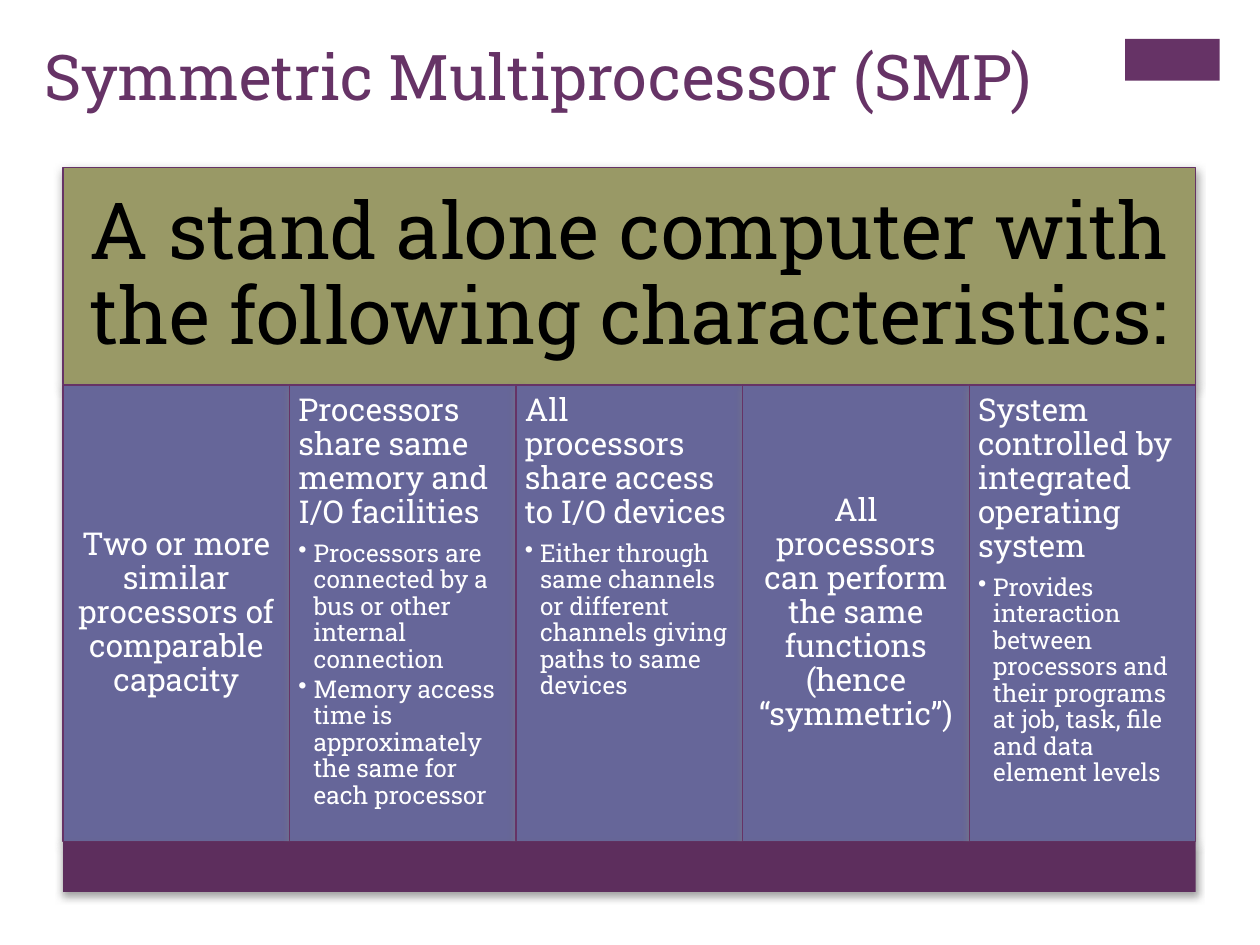
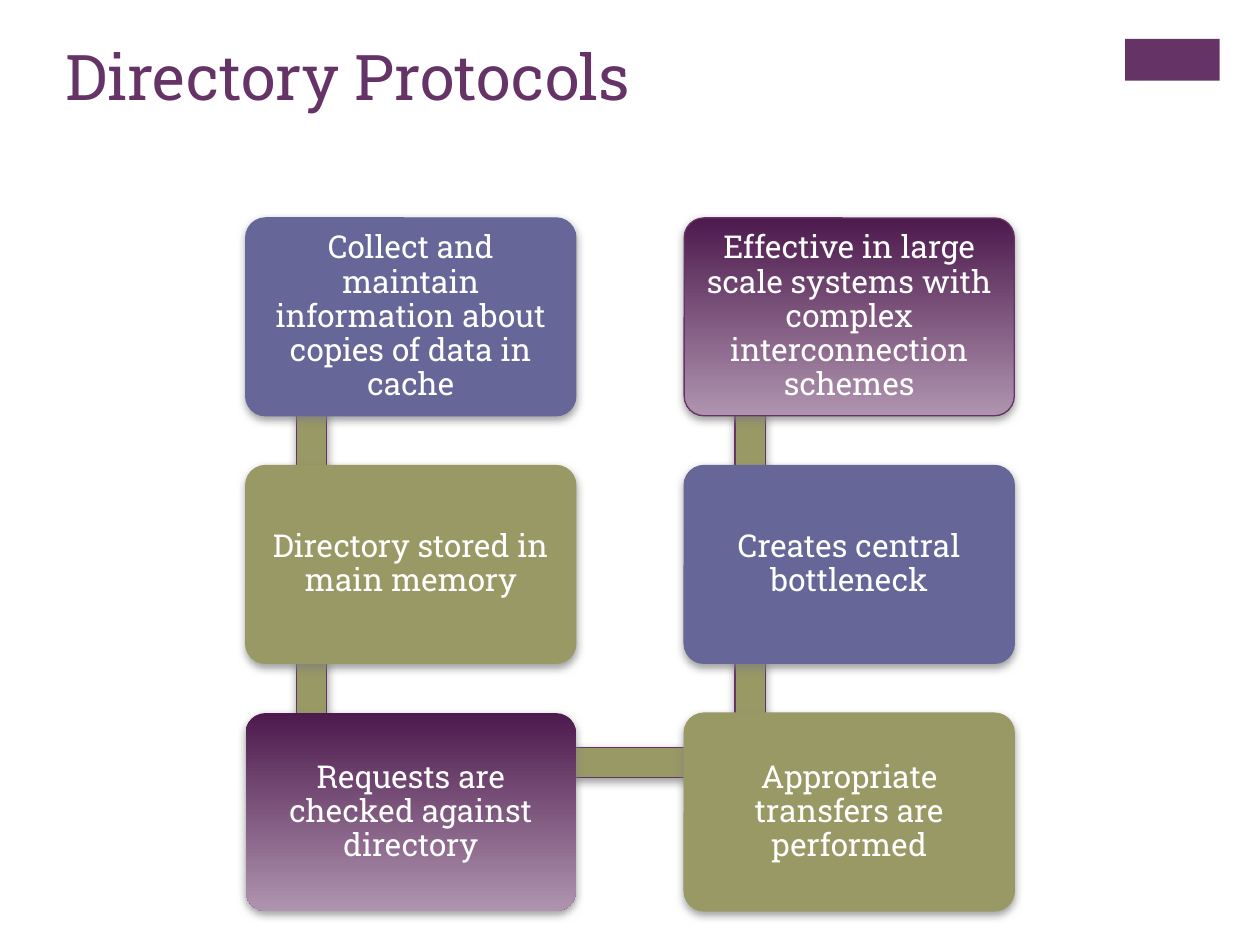
from dataclasses import dataclass

from lxml import etree
from pptx import Presentation
from pptx import util as u
from pptx.dml import color
from pptx.enum import shapes, text
from pptx.oxml import ns


@dataclass(frozen=True)
class Theme:
    """Colours, fonts and type sizes shared by the slides."""
    font: str = "Roboto Slab"
    plum: str = "663366"
    dark_plum: str = "5D2E5D"
    olive: str = "999966"
    slate: str = "666699"
    fade: tuple = ("4D1A4D", "AF94AF")
    shadow: str = "808080"
    white: str = "FFFFFF"
    black: str = "000000"
    title: float = 36
    banner: float = 45
    label: float = 18
    bullet: float = 14


@dataclass(frozen=True)
class Box:
    """A rectangle measured in inches."""
    left: float
    top: float
    width: float
    height: float

    def lengths(self):
        """Return the four measures as lengths."""
        return [u.Inches(v) for v in (self.left, self.top, self.width, self.height)]


THEME = Theme()
MARKER = Box(8.93, 0.31, 0.75, 0.33)
RECTANGLE = shapes.MSO_SHAPE.RECTANGLE
ROUNDED = shapes.MSO_SHAPE.ROUNDED_RECTANGLE

CHARACTERISTICS = [
    ("Two or more similar processors of comparable capacity", []),
    ("Processors share same memory and I/O facilities",
     ["Processors are connected by a bus or other internal connection",
      "Memory access time is approximately the same for each processor"]),
    ("All processors share access to I/O devices",
     ["Either through same channels or different channels giving paths to same devices"]),
    ("All processors can perform the same functions (hence “symmetric”)", []),
    ("System controlled by integrated operating system",
     ["Provides interaction between processors and their programs at job, task, "
      "file and data element levels"]),
]

PROTOCOL_STEPS = [
    ("Collect and maintain information about copies of data in cache",
     THEME.slate, THEME.slate),
    ("Directory stored in main memory", THEME.olive, THEME.olive),
    ("Requests are checked against directory", THEME.fade, None),
    ("Appropriate transfers are performed", THEME.olive, THEME.olive),
    ("Creates central bottleneck", THEME.slate, THEME.slate),
    ("Effective in large scale systems with complex interconnection schemes",
     THEME.fade, THEME.plum),
]


def rgb(value):
    """Turn a hex string into a colour."""
    return color.RGBColor.from_string(value)


def paint(shape, fill, line=None):
    """Give a shape a plain or vertical gradient fill and an optional outline."""
    shape.shadow.inherit = False
    if isinstance(fill, tuple):
        shape.fill.gradient()
        shape.fill.gradient_angle = 270
        for stop, value in zip(shape.fill.gradient_stops, fill):
            stop.color.rgb = rgb(value)
    else:
        shape.fill.solid()
        shape.fill.fore_color.rgb = rgb(fill)
    if line:
        shape.line.color.rgb = rgb(line)
        shape.line.width = u.Pt(0.75)
    else:
        shape.line.fill.background()


def add_shadow(shape):
    """Drop a soft grey shadow below a shape."""
    effects = shape.element.spPr.find(ns.qn("a:effectLst"))
    shadow = etree.SubElement(
        effects, ns.qn("a:outerShdw"), blurRad=str(u.Pt(5)), dist=str(u.Pt(2)),
        dir="5400000", rotWithShape="0")
    tint = etree.SubElement(shadow, ns.qn("a:srgbClr"), val=THEME.shadow)
    etree.SubElement(tint, ns.qn("a:alpha"), val="75000")


def add_panel(group, box, fill, line=None, kind=RECTANGLE):
    """Add a painted shape with a shadow."""
    shape = group.shapes.add_shape(kind, *box.lengths())
    paint(shape, fill, line)
    add_shadow(shape)
    return shape


def style_runs(paragraph, size, value):
    """Set font, size and colour of a paragraph's runs."""
    for run in paragraph.runs:
        run.font.name = THEME.font
        run.font.size = u.Pt(size)
        run.font.color.rgb = rgb(value)


def add_bullet(paragraph):
    """Give a paragraph a hanging bullet."""
    paragraph.level = 1
    properties = paragraph._p.get_or_add_pPr()
    properties.set("marL", str(u.Inches(0.12)))
    properties.set("indent", str(-u.Inches(0.12)))
    etree.SubElement(properties, ns.qn("a:buChar"), char="•")


def write(shape, label, points=(), size=THEME.label, value=THEME.white, inset=0.07):
    """Write a centred label, or a left-aligned one followed by bullets."""
    frame = shape.text_frame
    frame.word_wrap = True
    frame.margin_left = frame.margin_right = u.Inches(inset)
    frame.margin_top = frame.margin_bottom = u.Inches(inset)
    frame.vertical_anchor = text.MSO_ANCHOR.TOP if points else text.MSO_ANCHOR.MIDDLE
    frame.text = "\n".join([label, *points])
    for index, paragraph in enumerate(frame.paragraphs):
        paragraph.alignment = text.PP_ALIGN.LEFT if points else text.PP_ALIGN.CENTER
        paragraph.line_spacing = 0.9
        paragraph.space_before = u.Pt(0)
        if index:
            paragraph.space_after = u.Pt(0.15 * THEME.bullet)
            add_bullet(paragraph)
        else:
            paragraph.space_after = u.Pt(0.35 * size)
        style_runs(paragraph, THEME.bullet if index else size, value)


def add_titled_slide(presentation, title, box):
    """Add a title-only slide with its title in the given box."""
    slide = presentation.slides.add_slide(presentation.slide_layouts[5])
    shape = slide.shapes.title
    shape.left, shape.top, shape.width, shape.height = box.lengths()
    frame = shape.text_frame
    frame.text = title
    frame.auto_size = text.MSO_AUTO_SIZE.NONE
    frame.vertical_anchor = text.MSO_ANCHOR.TOP
    frame.paragraphs[0].alignment = text.PP_ALIGN.LEFT
    style_runs(frame.paragraphs[0], THEME.title, THEME.plum)
    return slide


def move_marker_to_master(presentation, slide):
    """Draw the corner marker and place it on the slide master."""
    marker = slide.shapes.add_shape(RECTANGLE, *MARKER.lengths())
    paint(marker, THEME.plum)
    marker.element.nvSpPr.cNvPr.set("id", "100")
    presentation.slide_master.shapes[0].element.addprevious(marker.element)


def draw_characteristics(slide, box):
    """Stack a banner, a row of equal columns and a base strip."""
    group = slide.shapes.add_group_shape()
    banner_height, column_height, base_height = (
        share * box.height for share in (0.3, 0.63, 0.07))
    banner = add_panel(group, Box(box.left, box.top, box.width, banner_height),
                       THEME.olive, THEME.plum)
    write(banner, "A stand alone computer with the following characteristics:",
          size=THEME.banner, value=THEME.black, inset=0.19)
    column_top = box.top + banner_height
    column_width = box.width / len(CHARACTERISTICS)
    for index, (label, points) in enumerate(CHARACTERISTICS):
        column = Box(box.left + index * column_width, column_top,
                     column_width, column_height)
        write(add_panel(group, column, THEME.slate, THEME.plum), label, points)
    add_panel(group, Box(box.left, column_top + column_height, box.width, base_height),
              THEME.dark_plum)


def link_box(start, end, thickness=0.24):
    """Return the bar that joins the anchor points of two cells."""
    x1, x2 = (cell.left + 0.2 * cell.width for cell in (start, end))
    y1, y2 = (cell.top + 0.25 * cell.height for cell in (start, end))
    if x1 == x2:
        return Box(x1 - thickness / 2, min(y1, y2), thickness, abs(y2 - y1))
    return Box(x1, y1 - thickness / 2, x2 - x1, thickness)


def draw_protocol_steps(slide, box, rows=3):
    """Draw linked steps down the left column and up the right one."""
    group = slide.shapes.add_group_shape()
    width, height = 2.62, 1.57
    row_pitch = (box.height - height) / (rows - 1)
    cells = []
    for index in range(len(PROTOCOL_STEPS)):
        column, row = divmod(index, rows)
        row = rows - 1 - row if column else row
        cells.append(Box(box.left + column * (box.width - width),
                         box.top + row * row_pitch, width, height))
    for index, (label, fill, line) in enumerate(PROTOCOL_STEPS):
        if index + 1 < len(cells):
            add_panel(group, link_box(cells[index], cells[index + 1]),
                      THEME.olive, THEME.plum)
        step = add_panel(group, cells[index], fill, line, ROUNDED)
        step.adjustments[0] = 0.1
        write(step, label)


def main():
    """Build and save the presentation."""
    presentation = Presentation()
    presentation.slide_width = u.Inches(10)
    presentation.slide_height = u.Inches(7.5)
    slide = add_titled_slide(presentation, "Symmetric Multiprocessor (SMP)",
                             Box(0.25, 0.25, 8.26, 1.22))
    move_marker_to_master(presentation, slide)
    draw_characteristics(slide, Box(0.5, 1.33, 8.99, 5.75))
    slide = add_titled_slide(presentation, "Directory Protocols",
                             Box(0.42, 0.25, 8.26, 0.67))
    draw_protocol_steps(slide, Box(1.95, 1.73, 6.1, 5.5))
    presentation.save("out.pptx")


main()
